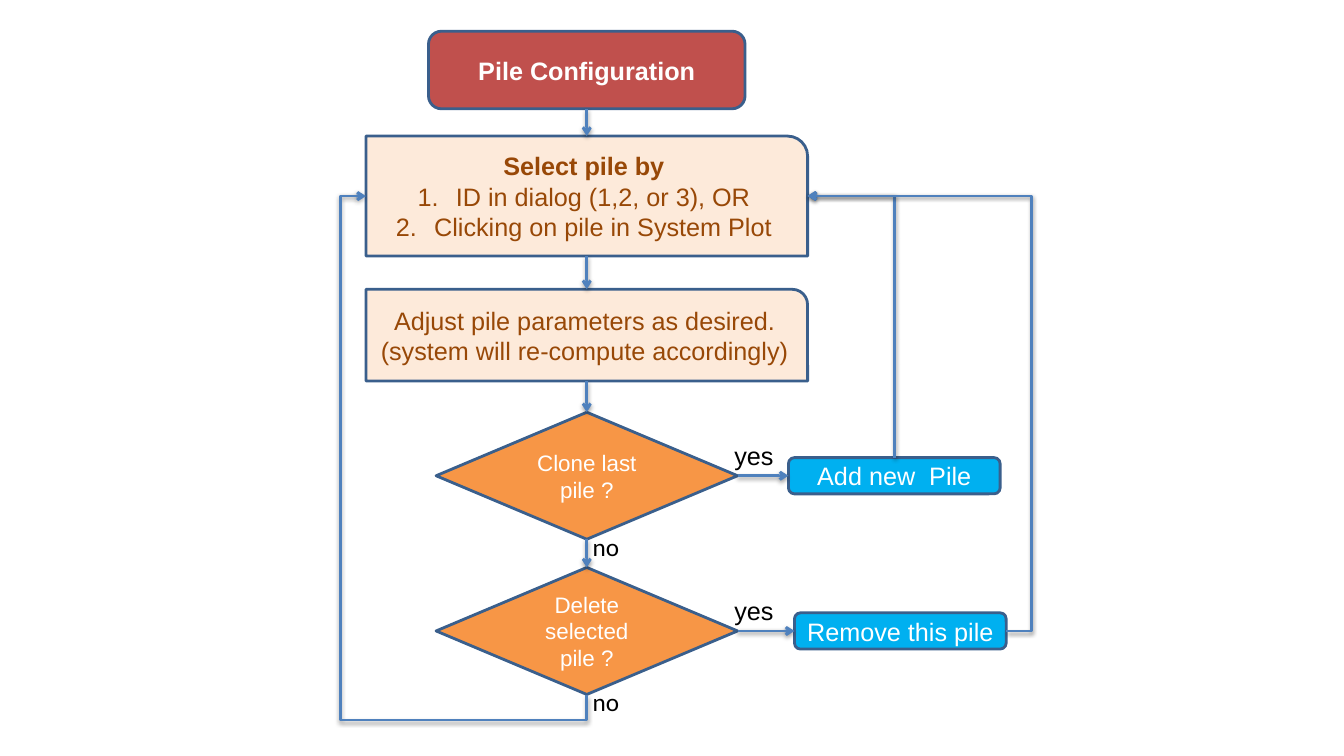
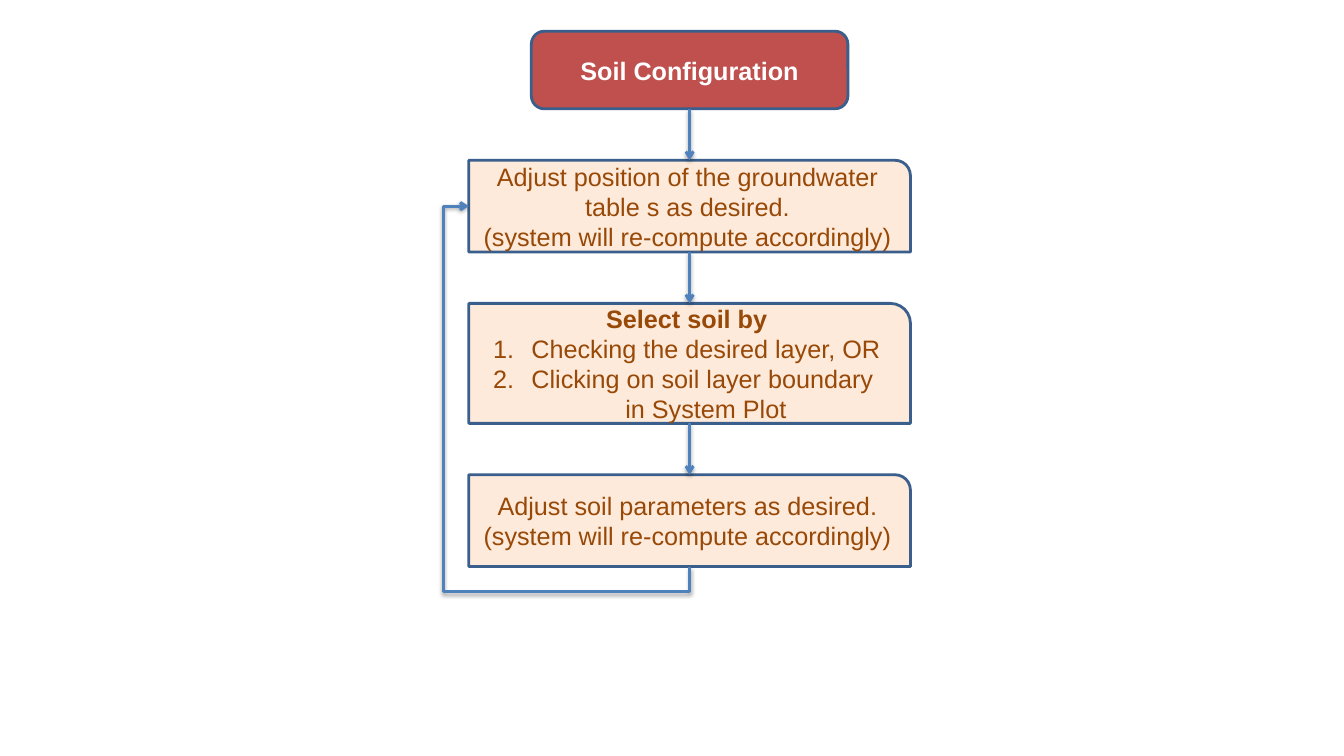
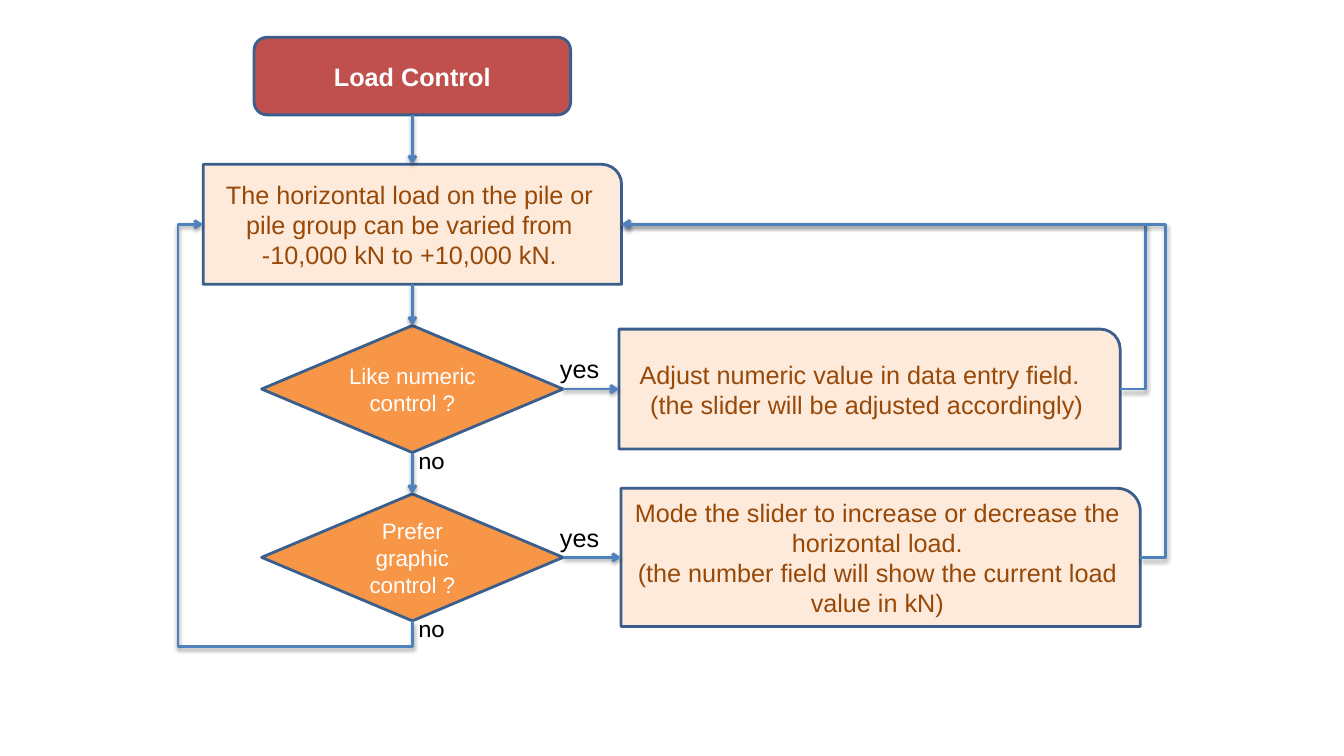
"""Build three flowcharts: pile configuration, soil configuration and load control."""
from dataclasses import dataclass

from lxml import etree
from pptx import Presentation, util as u
from pptx.dml.color import RGBColor
from pptx.enum import shapes, text
from pptx.oxml import parse_xml
from pptx.oxml.ns import nsdecls, qn

SHAPE = shapes.MSO_SHAPE

RECOMPUTE = "(system will re-compute accordingly)"

FLOWS = [
    dict(
        spine=5.82, top=0.31, gaps=[0.27, 0.33, 0.31, 0.28],
        steps=[
            ("title", ["Pile Configuration"]),
            ("choice", ["Select pile by", "ID in dialog (1,2, or 3), OR",
                        "Clicking on pile in System Plot"]),
            ("action", ["Adjust pile parameters as desired.", RECOMPUTE]),
            ("question", ["Clone last pile ?"]),
            ("question", ["Delete selected pile ?"]),
        ],
        answers=[
            (3, "button", ["Add new  Pile"], 7.82, None, "up"),
            (4, "button", ["Remove this pile"], 7.88, None, "around"),
        ],
    ),
    dict(
        spine=6.84, top=0.31, gaps=[0.51, 0.51, 0.51],
        steps=[
            ("title", ["Soil Configuration"]),
            ("action", ["Adjust position of the groundwater table s as desired.",
                        RECOMPUTE]),
            ("choice", ["Select soil by", "Checking the desired layer, OR",
                        "Clicking on soil layer boundary \vin System Plot"]),
            ("action", ["Adjust soil parameters as desired.", RECOMPUTE]),
        ],
        answers=[],
    ),
    dict(
        spine=4.09, top=0.37, gaps=[0.49, 0.41, 0.41],
        steps=[
            ("title", ["Load Control"]),
            ("range", ["The horizontal load on the pile or pile group can be "
                       "varied from -10,000 kN to +10,000 kN."]),
            ("question", ["Like numeric control ?"]),
            ("question", ["Prefer graphic control ?"]),
        ],
        answers=[
            (2, "action", ["Adjust numeric value in data entry field.  ",
                           "(the slider will be adjusted accordingly)"],
             6.14, (4.97, 1.19), "around"),
            (3, "action", ["Mode the slider to increase or decrease the horizontal load.",
                           "(the number field will show the current load value in kN)"],
             6.16, (5.15, 1.37), "around"),
        ],
    ),
]


@dataclass(frozen=True)
class Theme:
    outline: str = "3A5F8C"
    arrow: str = "4F81BD"
    label: str = "000000"
    font: str = "Arial"
    no_font: str = "Calibri"
    body: int = 18
    small: int = 16
    stroke: int = 2
    bend: float = 0.25
    indent: float = 0.38


@dataclass(frozen=True)
class Look:
    preset: object
    width: float
    height: float
    fill: str
    ink: str


THEME = Theme()
CARD = (SHAPE.ROUND_1_RECTANGLE, "FDEADA", "984807")
LOOKS = {
    "title": Look(SHAPE.ROUNDED_RECTANGLE, 3.14, 0.77, "C0504D", "FFFFFF"),
    "choice": Look(CARD[0], 4.38, 1.19, *CARD[1:]),
    "action": Look(CARD[0], 4.38, 0.91, *CARD[1:]),
    "range": Look(CARD[0], 4.15, 1.19, *CARD[1:]),
    "question": Look(SHAPE.DIAMOND, 2.99, 1.26, "F79646", "FFFFFF"),
    "button": Look(SHAPE.ROUNDED_RECTANGLE, 2.1, 0.36, "00B0F0", "FFFFFF"),
}
TOP, LEFT, BOTTOM, RIGHT = range(4)


def color(value):
    return RGBColor.from_string(value)


def set_font(paragraph, name, size, ink, bold=False):
    font = paragraph.font
    font.name, font.size, font.bold = name, u.Pt(size), bold
    font.color.rgb = color(ink)


def number(paragraph):
    props = paragraph._p.get_or_add_pPr()
    indent = u.Inches(THEME.indent)
    props.set("marL", str(indent))
    props.set("indent", str(-indent))
    marker = etree.Element(qn("a:buAutoNum"), type="arabicPeriod")
    props.insert_element_before(marker, "a:tabLst", "a:defRPr", "a:extLst")


def add_box(slide, kind, lines, left, top, size=None):
    look = LOOKS[kind]
    width, height = size or (look.width, look.height)
    box = slide.shapes.add_shape(look.preset, *map(u.Inches, (left, top, width, height)))
    box.shadow.inherit = False
    box.fill.solid()
    box.fill.fore_color.rgb = color(look.fill)
    box.line.color.rgb = color(THEME.outline)
    box.line.width = u.Pt(THEME.stroke)
    frame = box.text_frame
    frame.vertical_anchor = text.MSO_ANCHOR.MIDDLE
    frame.text = "\n".join(lines)
    for row, paragraph in enumerate(frame.paragraphs):
        paragraph.alignment = text.PP_ALIGN.CENTER
        heading = kind == "title" or (kind == "choice" and row == 0)
        size_pt = THEME.small if kind == "question" else THEME.body
        set_font(paragraph, THEME.font, size_pt, look.ink, heading)
        if kind == "choice" and row:
            number(paragraph)
    return box


def add_label(slide, answer, font, left, top):
    label = slide.shapes.add_textbox(left, top, u.Inches(0.62), u.Inches(0.4))
    label.text_frame.word_wrap = True
    label.text_frame.text = answer
    set_font(label.text_frame.paragraphs[0], font, THEME.body, THEME.label)


def site(box, side):
    middle, center = box.left + box.width // 2, box.top + box.height // 2
    return {TOP: (middle, box.top), LEFT: (box.left, center),
            BOTTOM: (middle, box.top + box.height),
            RIGHT: (box.left + box.width, center)}[side]


def style_arrow(arrow):
    arrow.line.color.rgb = color(THEME.arrow)
    arrow.line.width = u.Pt(THEME.stroke)
    props = arrow._element.spPr
    etree.SubElement(props.find(qn("a:ln")), qn("a:tailEnd"), type="arrow")
    props.append(parse_xml(
        f'<a:effectLst {nsdecls("a")}><a:outerShdw blurRad="40000" dist="20000" '
        'dir="5400000" rotWithShape="0"><a:srgbClr val="000000">'
        '<a:alpha val="38000"/></a:srgbClr></a:outerShdw></a:effectLst>'))


def add_arrow(slide, source, source_side, target, target_side):
    arrow = slide.shapes.add_connector(
        shapes.MSO_CONNECTOR.STRAIGHT,
        *site(source, source_side), *site(target, target_side))
    arrow.begin_connect(source, source_side)
    arrow.end_connect(target, target_side)
    style_arrow(arrow)


def add_elbow(slide, begin, end, preset, turn=0, bends=()):
    """Turn the end points back about their middle, then rotate the connector."""
    middle, center = (begin[0] + end[0]) // 2, (begin[1] + end[1]) // 2

    def turned_back(point):
        x, y = point[0] - middle, point[1] - center
        x, y = {0: (x, y), 90: (y, -x), 270: (-y, x)}[turn]
        return middle + x, center + y

    elbow = slide.shapes.add_connector(
        shapes.MSO_CONNECTOR.ELBOW, *turned_back(begin), *turned_back(end))
    elbow.rotation = turn
    geometry = elbow._element.spPr.find(qn("a:prstGeom"))
    geometry.set("prst", preset)
    guides = geometry.get_or_add_avLst()
    for index, share in enumerate(bends, 1):
        etree.SubElement(guides, qn("a:gd"), name=f"adj{index}",
                         fmla=f"val {round(share * 100000)}")
    style_arrow(elbow)


def add_return(slide, source, target, route):
    end = site(target, RIGHT)
    if route == "up":
        add_elbow(slide, site(source, TOP), end, "bentConnector2", 270)
    else:
        begin = site(source, RIGHT)
        share = -u.Inches(THEME.bend) / (begin[0] - end[0])
        add_elbow(slide, begin, end, "bentConnector3", bends=[share])


def add_loop(slide, last, target):
    begin, end = site(last, BOTTOM), site(target, LEFT)
    bend = u.Inches(THEME.bend)
    shares = [-bend / (begin[1] - end[1]), 1 + bend / (begin[0] - end[0])]
    add_elbow(slide, begin, end, "bentConnector4", 90, shares)


def draw_flow(slide, flow):
    boxes, top = [], flow["top"]
    for (kind, lines), gap in zip(flow["steps"], flow["gaps"] + [0]):
        look = LOOKS[kind]
        boxes.append(add_box(slide, kind, lines, flow["spine"] - look.width / 2, top))
        top += look.height + gap
    for upper, lower in zip(boxes, boxes[1:]):
        add_arrow(slide, upper, BOTTOM, lower, TOP)
    first = boxes[1]
    add_loop(slide, boxes[-1], first)
    for step, kind, lines, left, size, route in flow["answers"]:
        question = boxes[step]
        right, center = site(question, RIGHT)
        middle, bottom = site(question, BOTTOM)
        height = size[1] if size else LOOKS[kind].height
        result = add_box(slide, kind, lines, left, u.Emu(center).inches - height / 2, size)
        add_arrow(slide, question, RIGHT, result, LEFT)
        add_return(slide, result, first, route)
        add_label(slide, "yes", THEME.font, right - u.Inches(0.13), center - u.Inches(0.4))
        add_label(slide, "no", THEME.no_font, middle - u.Inches(0.04),
                  bottom - u.Inches(0.13))


deck = Presentation()
deck.slide_width, deck.slide_height = u.Inches(13.33), u.Inches(7.5)
for flow in FLOWS:
    draw_flow(deck.slides.add_slide(deck.slide_layouts[6]), flow)
deck.save("out.pptx")
